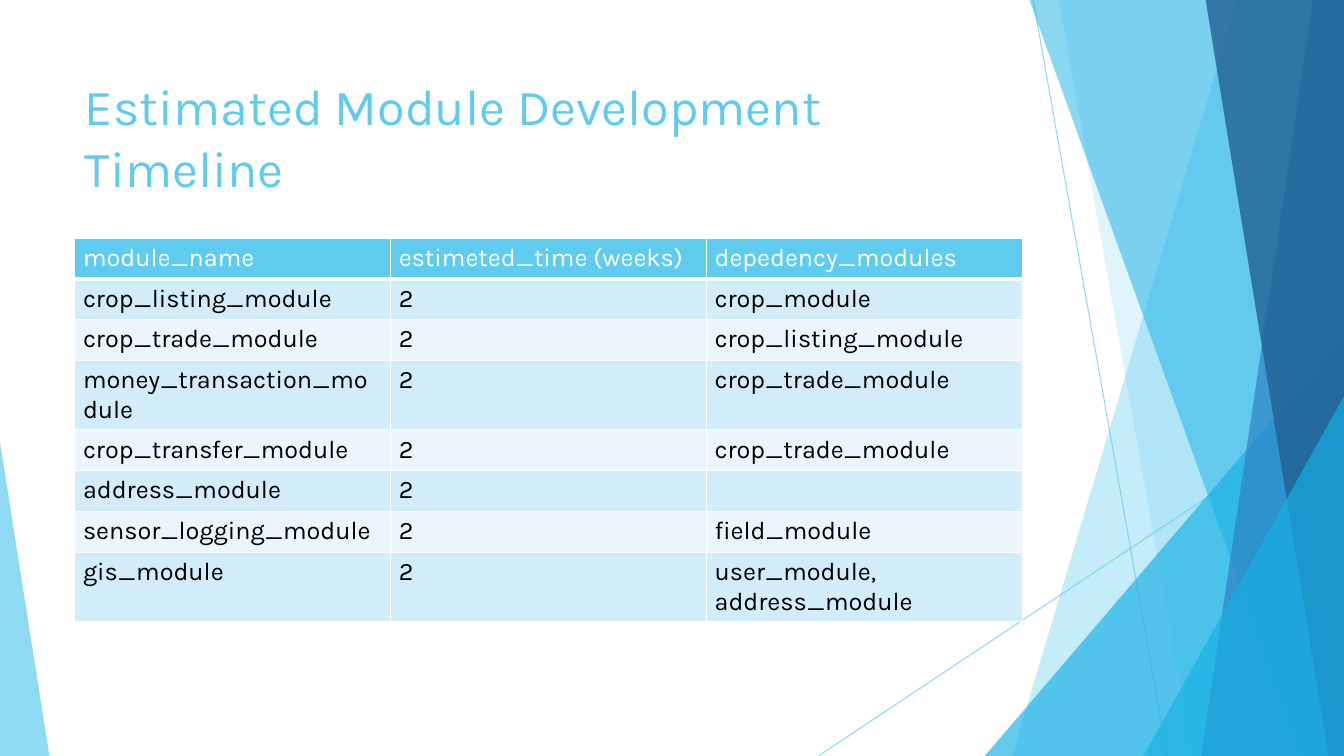
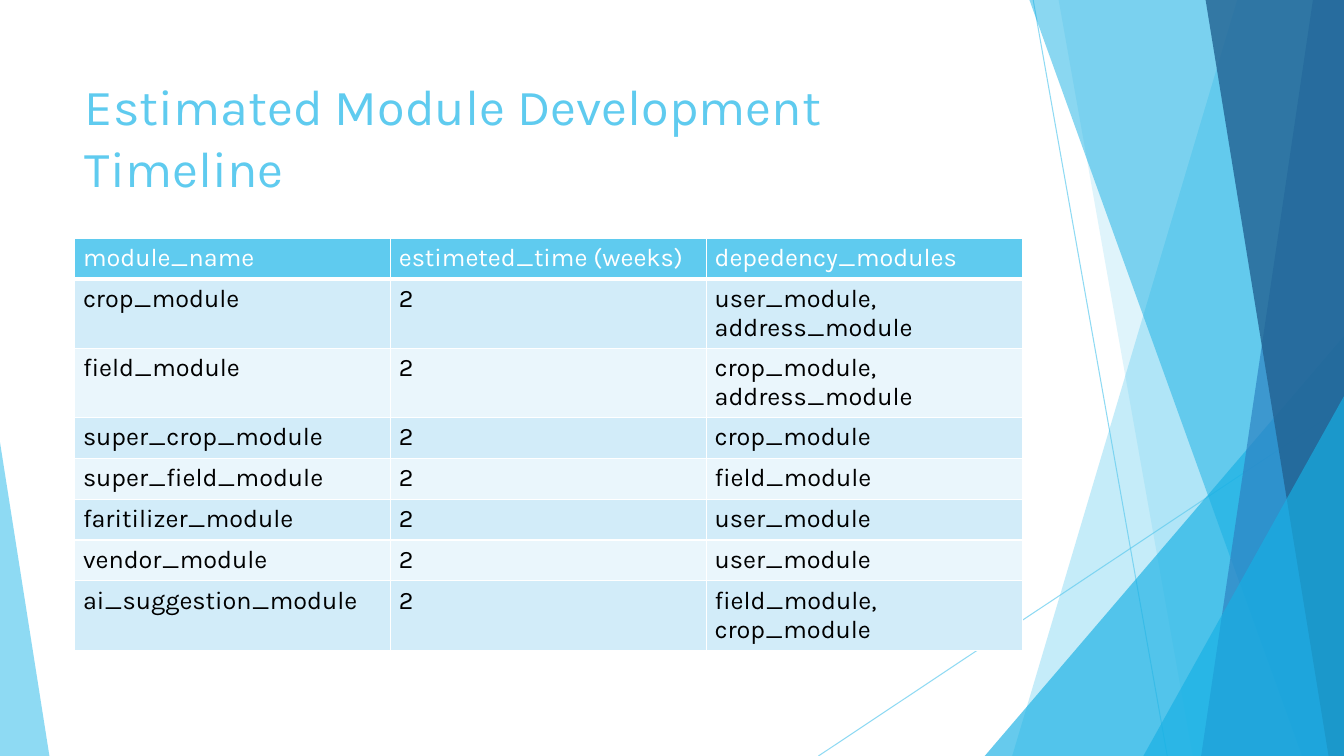
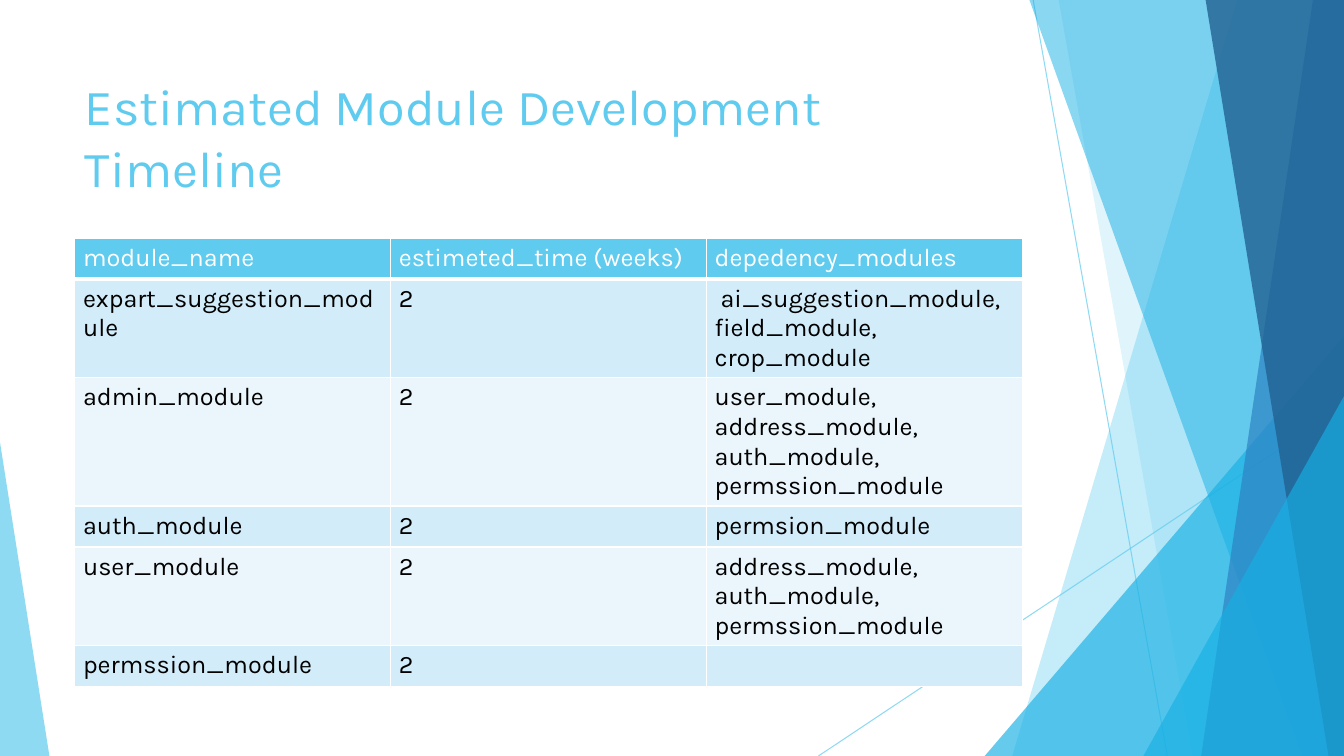
"""Build three slides listing the estimated development time of each module."""
from dataclasses import dataclass

from lxml.etree import SubElement
from pptx import Presentation
from pptx.dml.color import RGBColor
from pptx.enum.shapes import MSO_CONNECTOR, MSO_SHAPE
from pptx.enum.text import MSO_ANCHOR, PP_ALIGN
from pptx.oxml.ns import qn
from pptx.util import Pt


@dataclass(frozen=True)
class Theme:
    font: str = "Karla"
    title_size: int = 36
    table_size: int = 18
    sky: str = "5FCBEF"
    cyan: str = "17B0E4"
    blue: str = "2E83C3"
    navy: str = "226292"
    row_dark: str = "D2ECF9"
    row_light: str = "EAF6FC"
    white: str = "FFFFFF"
    black: str = "000000"


def fade(shape, opacity):
    for color in shape.element.spPr.iter(qn("a:srgbClr")):
        SubElement(color, qn("a:alpha"), val=str(opacity * 1000))


def style_text(frame, size, color):
    for para in frame.paragraphs:
        para.alignment = PP_ALIGN.LEFT
        for span in para.runs:
            span.font.name = theme.font
            span.font.size = Pt(size)
            span.font.bold = False
            span.font.color.rgb = RGBColor.from_string(color)


theme = Theme()
width, height = 960, 540
left, table_top, content_width = 53.4, 170, 676.8
row_height = 29.2

deck = Presentation()
deck.slide_width, deck.slide_height = Pt(width), Pt(height)
layout = deck.slide_layouts.get_by_name("Title Only")
for holder in list(layout.placeholders):
    if holder.placeholder_format.idx != 0:
        holder.element.getparent().remove(holder.element)

rays = [(738, 0, 833.8, height), (width, 290.2, 584.6, height)]
bands_and_triangles = [
    ("band", (884.2, 722.9), theme.sky, 36),
    ("band", (756, 851.8), theme.sky, 20),
    ("triangle", (703.4, 240, 256.6, 300, 1), theme.cyan, 66),
    ("band", (735.1, 929.5), theme.cyan, 50),
    ("band", (938.2, 858.2), theme.blue, 70),
    ("band", (861.1, 949), theme.navy, 80),
    ("triangle", (816.7, 283, 143.3, 257, 1), theme.cyan, 66),
    ("triangle", (0, 316, 35.3, 224, 0), theme.sky, 70),
]

first_page = deck.slides.add_slide(layout)
scenery = []
for ray_ends in rays:
    ray = first_page.shapes.add_connector(MSO_CONNECTOR.STRAIGHT, *map(Pt, ray_ends))
    ray.line.color.rgb = RGBColor.from_string(theme.sky)
    ray.line.width = Pt(0.75)
    SubElement(ray.element.spPr, qn("a:effectLst"))
    fade(ray, 70)
    scenery.append(ray)

for kind, geometry, color, opacity in bands_and_triangles:
    if kind == "band":
        top_edge, bottom_edge = geometry
        outline = first_page.shapes.build_freeform(top_edge, -0.6, scale=Pt(1))
        outline.add_line_segments([(width, -0.6), (width, height), (bottom_edge, height)])
        shape = outline.convert_to_shape()
    else:
        *box, peak = geometry
        shape = first_page.shapes.add_shape(MSO_SHAPE.ISOSCELES_TRIANGLE, *map(Pt, box))
        shape.adjustments[0] = peak
    shape.shadow.inherit = False
    shape.fill.solid()
    shape.fill.fore_color.rgb = RGBColor.from_string(color)
    shape.line.fill.background()
    fade(shape, opacity)
    scenery.append(shape)

for position, shape in enumerate(scenery, start=2):
    layout.shapes.element.insert(position, shape.element)

heading = "Estimated Module Development Timeline"
header = ("module_name", "estimeted_time (weeks)", "depedency_modules")
timelines = [
    [
        ("crop_listing_module", "2", "crop_module"),
        ("crop_trade_module", "2", "crop_listing_module"),
        ("money_transaction_module", "2", "crop_trade_module"),
        ("crop_transfer_module", "2", "crop_trade_module"),
        ("address_module", "2", ""),
        ("sensor_logging_module", "2", "field_module"),
        ("gis_module", "2", "user_module, address_module"),
    ],
    [
        ("crop_module", "2", "user_module, address_module"),
        ("field_module", "2", "crop_module, address_module"),
        ("super_crop_module", "2", "crop_module"),
        ("super_field_module", "2", "field_module"),
        ("faritilizer_module", "2", "user_module"),
        ("vendor_module", "2", "user_module"),
        ("ai_suggestion_module", "2", "field_module, crop_module"),
    ],
    [
        ("expart_suggestion_module", "2", " ai_suggestion_module, field_module, crop_module"),
        ("admin_module", "2", "user_module, address_module, auth_module, permssion_module"),
        ("auth_module", "2", "permsion_module"),
        ("user_module", "2", "address_module, auth_module, permssion_module"),
        ("permssion_module", "2", ""),
    ],
]
middle_texts = {
    "depedency_modules", "money_transaction_module", "permsion_module",
    "user_module, address_module", "crop_module, address_module", "field_module, crop_module",
}

pages = [first_page] + [deck.slides.add_slide(layout) for _ in timelines[1:]]
for page, modules in zip(pages, timelines):
    title = page.shapes.title
    title.left, title.top, title.width, title.height = map(Pt, (left, 48, content_width, 104))
    title.text_frame.text = heading
    title.text_frame.vertical_anchor = MSO_ANCHOR.TOP
    title.text_frame.paragraphs[0].line_spacing = 1.04
    style_text(title.text_frame, theme.title_size, theme.sky)

    rows = [header] + modules
    table = page.shapes.add_table(
        len(rows), len(header), Pt(left), Pt(table_top),
        Pt(content_width), Pt(row_height * len(rows))).table
    for row_index, texts in enumerate(rows):
        if row_index == 0:
            fill, ink = theme.sky, theme.white
        else:
            fill, ink = (theme.row_dark if row_index % 2 else theme.row_light), theme.black
        borders = {"L": 1, "R": 1, "T": 3 if row_index == 1 else 1, "B": 3 if row_index == 0 else 1}
        for column_index, text in enumerate(texts):
            cell = table.cell(row_index, column_index)
            cell.text_frame.text = text
            cell.margin_left = cell.margin_right = Pt(5.9)
            cell.margin_top = cell.margin_bottom = Pt(3.6)
            cell.vertical_anchor = MSO_ANCHOR.MIDDLE if text in middle_texts else MSO_ANCHOR.TOP
            style_text(cell.text_frame, theme.table_size, ink)
            properties = cell._tc.get_or_add_tcPr()
            for side, weight in borders.items():
                line = SubElement(properties, qn(f"a:ln{side}"), w=str(Pt(weight)))
                SubElement(SubElement(line, qn("a:solidFill")), qn("a:srgbClr"), val=theme.white)
            cell.fill.solid()
            cell.fill.fore_color.rgb = RGBColor.from_string(fill)

deck.save("out.pptx")
